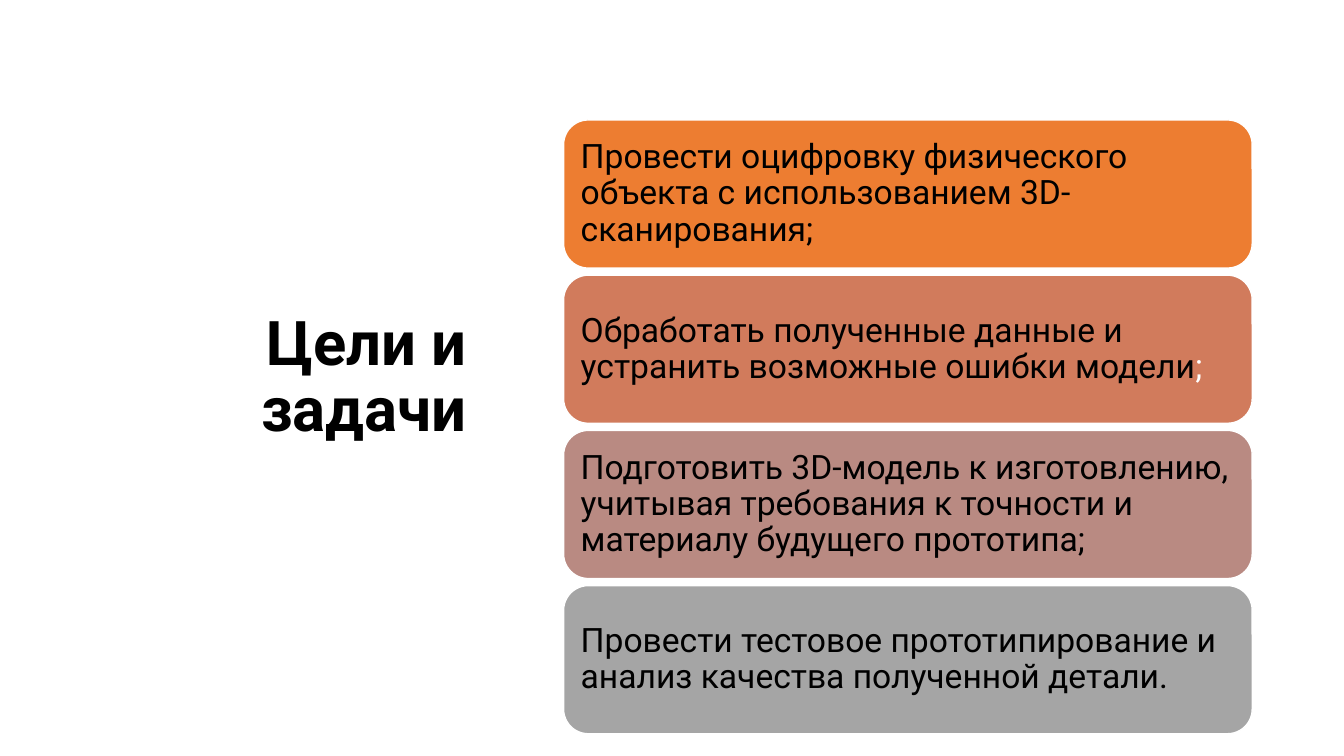
from dataclasses import dataclass

from pptx import Presentation
from pptx.dml.color import RGBColor
from pptx.enum.shapes import MSO_SHAPE
from pptx.enum.text import MSO_ANCHOR, PP_ALIGN
from pptx.util import Inches, Pt


@dataclass(frozen=True)
class Theme:
    """Colours, font and type sizes of the slide."""
    font: str = "Roboto"
    ink: str = "000000"
    paper: str = "FFFFFF"
    goal_fills: tuple = ("ED7D31", "D17B5C", "B98A82", "A5A5A5")
    title_size: int = 44
    goal_size: int = 24
    outline: int = 1


@dataclass(frozen=True)
class Grid:
    """Column and row measures in inches."""
    width: float = 13.33
    height: float = 7.5
    title_box: tuple = (0.42, 0.7, 4.31, 6.11)
    goal_left: float = 5.59
    goal_top: float = 1.19
    goal_width: float = 6.83
    goal_height: float = 1.47
    row_pitch: float = 1.54

    def goal_box(self, row):
        """Return the box of the goal card in the given row."""
        top = self.goal_top + row * self.row_pitch
        return self.goal_left, top, self.goal_width, self.goal_height


THEME = Theme()
GRID = Grid()
TITLE = "Цели и задачи"
GOALS = (
    (("Провести оцифровку физического объекта с использованием 3D-сканирования;", THEME.ink),),
    (("Обработать полученные данные и устранить возможные ошибки модели", THEME.ink),
     (";", THEME.paper)),
    (("Подготовить 3D-модель к изготовлению, учитывая требования к точности "
      "и материалу будущего прототипа;", THEME.ink),),
    (("Провести тестовое прототипирование и анализ качества полученной детали.", THEME.ink),),
)


def apply_format(target, values):
    """Set every attribute named in values on the target."""
    for name, value in values.items():
        setattr(target, name, value)


def write_text(frame, pieces, align, size, bold=False, inset=0.1):
    """Write coloured pieces as one vertically centred paragraph."""
    apply_format(frame, {
        "word_wrap": True,
        "vertical_anchor": MSO_ANCHOR.MIDDLE,
        "margin_left": Inches(inset),
        "margin_right": Inches(inset),
    })
    paragraph = frame.paragraphs[0]
    apply_format(paragraph, {"alignment": align, "line_spacing": 0.9})
    for wording, colour in pieces:
        piece = paragraph.add_run()
        piece.text = wording
        apply_format(piece.font, {"name": THEME.font, "size": Pt(size), "bold": bold})
        piece.font.color.rgb = RGBColor.from_string(colour)


def add_title(slide):
    """Add the right-aligned slide title."""
    title = slide.shapes.add_textbox(*map(Inches, GRID.title_box))
    write_text(title.text_frame, ((TITLE, THEME.ink),), PP_ALIGN.RIGHT,
               THEME.title_size, bold=True)


def add_goal(slide, row, pieces, fill):
    """Add one rounded goal card with its wording."""
    card = slide.shapes.add_shape(MSO_SHAPE.ROUNDED_RECTANGLE,
                                  *map(Inches, GRID.goal_box(row)))
    card.shadow.inherit = False
    card.fill.solid()
    card.fill.fore_color.rgb = RGBColor.from_string(fill)
    card.line.color.rgb = RGBColor.from_string(THEME.paper)
    card.line.width = Pt(THEME.outline)
    write_text(card.text_frame, pieces, PP_ALIGN.LEFT, THEME.goal_size)


def main():
    """Build and save the goals slide."""
    deck = Presentation()
    apply_format(deck, {"slide_width": Inches(GRID.width),
                        "slide_height": Inches(GRID.height)})
    slide = deck.slides.add_slide(deck.slide_layouts[6])
    add_title(slide)
    for row, (pieces, fill) in enumerate(zip(GOALS, THEME.goal_fills)):
        add_goal(slide, row, pieces, fill)
    deck.save("out.pptx")


if __name__ == "__main__":
    main()
